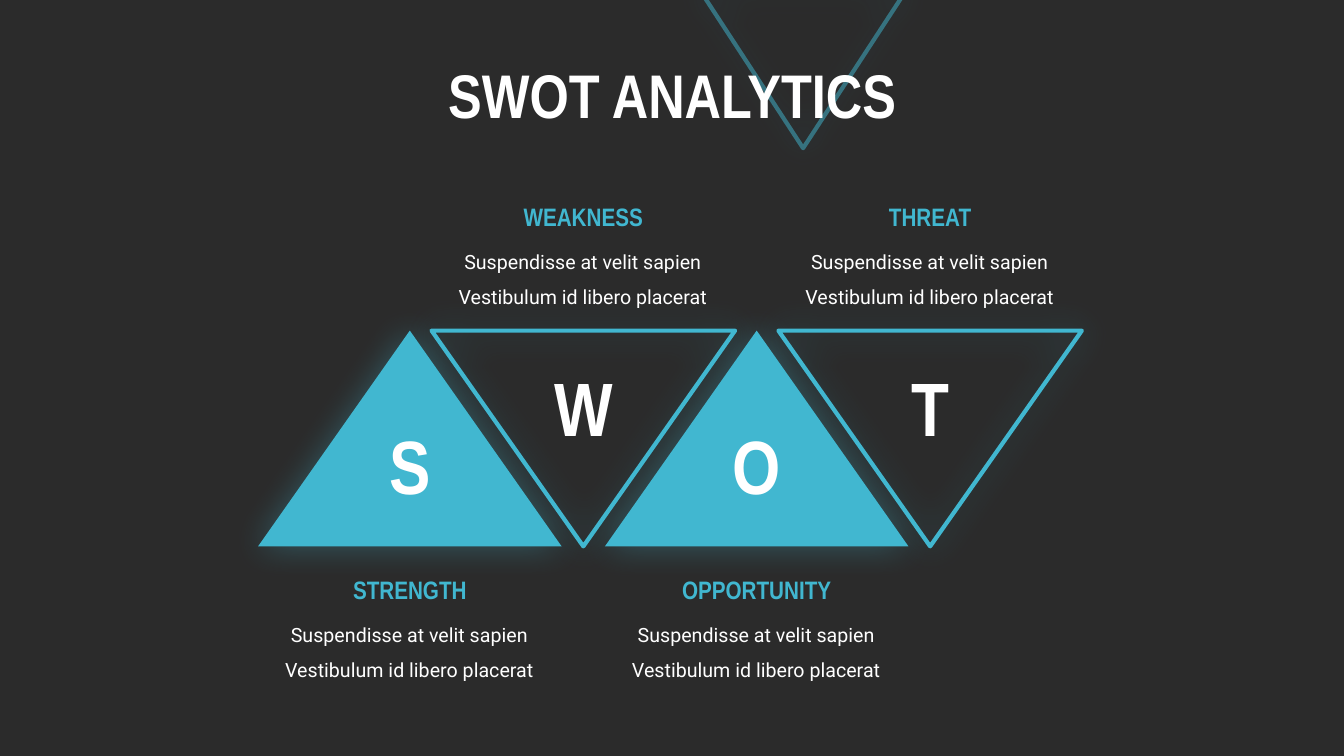
from lxml import etree
from pptx import Presentation
from pptx import util as u
from pptx.dml.color import RGBColor
from pptx.enum import shapes, text
from pptx.oxml import ns

COLORS = {"back": "2B2B2B", "teal": "41B7D0", "white": "FFFFFF"}
HEAD, BODY = "Arial Narrow", "Roboto"
STEP = 1.72
NOTE = "Suspendisse at velit sapien Vestibulum id libero placerat"
PARTS = ["STRENGTH", "WEAKNESS", "OPPORTUNITY", "THREAT"]


def tint(name):
    return RGBColor.from_string(COLORS[name])


def child(parent, tag, **attrs):
    return etree.SubElement(parent, ns.qn(tag), attrs)


class Deck:
    """Holds the style and the current slide."""

    def __init__(self, show):
        self.slide = show.slides.add_slide(show.slide_layouts[0])
        sub = self.slide.placeholders[1].element
        sub.getparent().remove(sub)
        fill = self.slide.background.fill
        fill.solid()
        fill.fore_color.rgb = tint("back")

    def words(self, frame, line, size, font, color="white", bold=True, space=None):
        frame.word_wrap = True
        para = frame.paragraphs[0]
        para.alignment = text.PP_ALIGN.CENTER
        if space:
            para.line_spacing = space
        run = para.add_run()
        run.text = line
        run.font.size = u.Pt(size)
        run.font.name = font
        run.font.bold = bold
        run.font.color.rgb = tint(color)

    def title(self, line, box):
        shape = self.slide.shapes.title
        shape.left, shape.top, shape.width, shape.height = map(u.Inches, box)
        frame = shape.text_frame
        frame.auto_size = text.MSO_AUTO_SIZE.NONE
        frame.vertical_anchor = text.MSO_ANCHOR.MIDDLE
        self.words(frame, line, 44, HEAD, space=0.9)
        # Bring the title in front of what is drawn so far
        shape.element.getparent().append(shape.element)

    def label(self, line, box, size, font, **style):
        shape = self.slide.shapes.add_textbox(*map(u.Inches, box))
        self.words(shape.text_frame, line, size, font, **style)
        shape.text_frame.auto_size = text.MSO_AUTO_SIZE.SHAPE_TO_FIT_TEXT

    def glow(self, shape):
        shape.shadow.inherit = False
        effects = shape.element.spPr.find(ns.qn("a:effectLst"))
        shade = child(effects, "a:outerShdw", blurRad=str(u.Pt(25)), dist="0",
                      dir="0", algn="ctr", rotWithShape="0")
        color = child(shade, "a:srgbClr", val=COLORS["teal"])
        child(color, "a:alpha", val="35000")

    def wedge(self, box, down=False, fade=False):
        shape = self.slide.shapes.add_shape(
            shapes.MSO_SHAPE.ISOSCELES_TRIANGLE, *map(u.Inches, box))
        if down:
            shape.rotation = 180
            shape.fill.background()
            shape.line.color.rgb = tint("teal")
            shape.line.width = u.Pt(3)
            if fade:
                line = shape.element.spPr.find(ns.qn("a:ln"))
                color = line.find(".//" + ns.qn("a:srgbClr"))
                child(color, "a:alpha", val="50000")
        else:
            shape.fill.solid()
            shape.fill.fore_color.rgb = tint("teal")
            shape.line.fill.background()
        self.glow(shape)


def main():
    show = Presentation()
    show.slide_width, show.slide_height = u.Inches(13.33), u.Inches(7.5)
    deck = Deck(show)

    # Title over the faded triangle
    deck.wedge((6.94, -0.1, 2.05, 1.57), down=True, fade=True)
    deck.title("SWOT ANALYTICS", (3.27, 0.49, 6.8, 0.98))

    # Row of triangles, every second one upside down
    for i in range(len(PARTS)):
        deck.wedge((2.56 + i * STEP, 3.28, 3.01, 2.14), down=i % 2 == 1)

    # Letter, note and heading of each part
    for i, name in enumerate(PARTS):
        x = i * STEP
        mark, top = (3.53, 1.95) if i % 2 else (4.11, 5.65)
        deck.label(name[0], (3.56 + x, mark, 1.01, 1.01), 54, HEAD)
        deck.label(NOTE, (2.57 + x, top + 0.36, 2.98, 0.77), 14, BODY,
                   bold=False, space=1.5)
        deck.label(name, (2.84 + x, top, 2.45, 0.4), 18, HEAD, color="teal")

    show.save("out.pptx")


if __name__ == "__main__":
    main()
